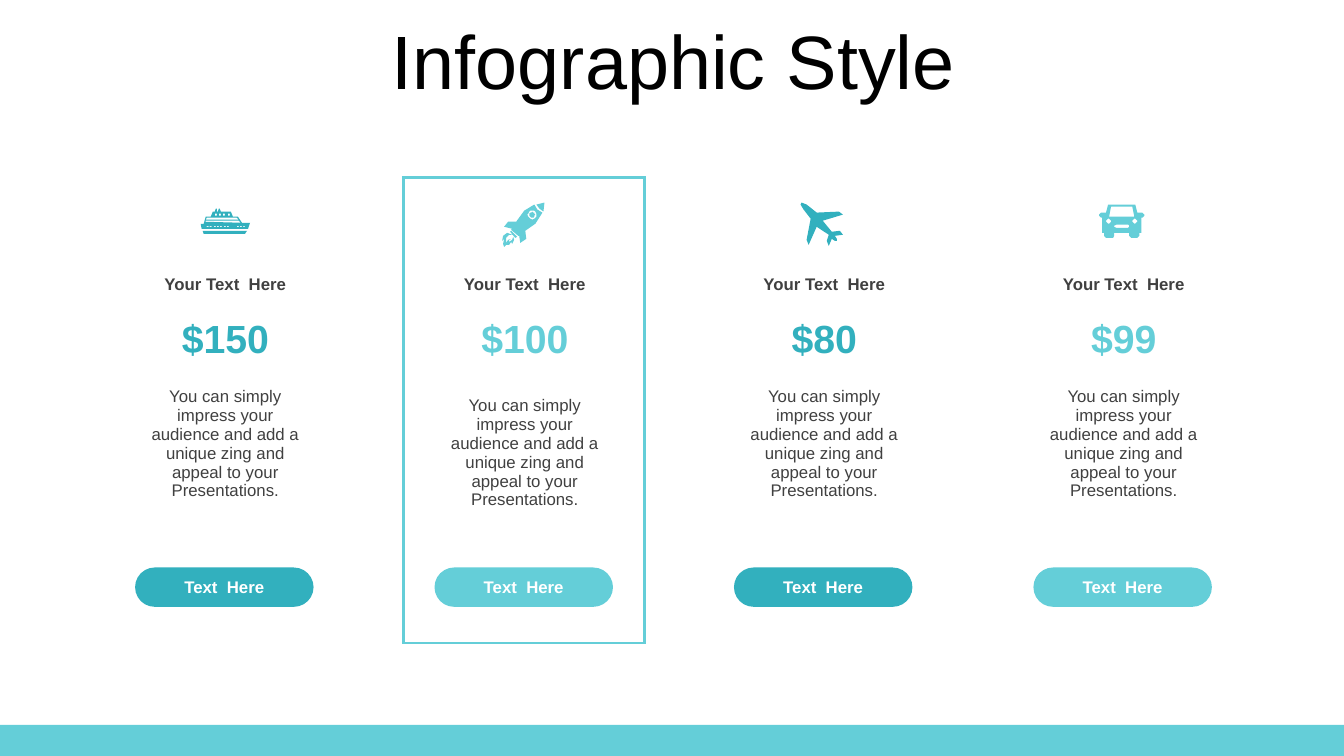
from math import cos, pi, sin

from lxml import etree
from pptx import Presentation
from pptx.dml.color import RGBColor
from pptx.enum.shapes import MSO_SHAPE
from pptx.enum.text import MSO_ANCHOR, PP_ALIGN
from pptx.oxml.ns import qn
from pptx.util import Inches, Pt

CENTER = PP_ALIGN.CENTER
MIDDLE = MSO_ANCHOR.MIDDLE
RECTANGLE = MSO_SHAPE.RECTANGLE
PILL = MSO_SHAPE.ROUNDED_RECTANGLE
NO_GRID_STYLE = "{2D5ABB26-0587-4C30-8999-92F81FD0307C}"

THEME = {
    "font": "Arial",
    "teal": "32B0BE", "aqua": "64CED8", "ink": "404040",
    "black": "000000", "white": "FFFFFF",
    "title_size": 54, "price_size": 28, "body_size": 12, "spacer_size": 10,
    "frame_width": 2.25,
}


def write(frame, text, size, color, bold=False):
    """Put one centred run of text in a text frame and return its paragraph."""
    paragraph = frame.paragraphs[0]
    paragraph.alignment = CENTER
    run = paragraph.add_run()
    run.text = text
    run.font.name = THEME["font"]
    run.font.size = Pt(THEME[size])
    run.font.bold = bold
    run.font.color.rgb = RGBColor.from_string(THEME[color])
    return paragraph


def paint(shape, color):
    """Give a shape a plain fill without line or shadow."""
    shape.shadow.inherit = False
    shape.fill.solid()
    shape.fill.fore_color.rgb = RGBColor.from_string(THEME[color])
    shape.line.fill.background()


# Icon outlines, in hundredths of an inch on the slide
ship = [
    [(201, 229), (245, 229), (243, 232), (202, 232)],
    [(204, 219), (204, 220), (239, 221), (237, 219)],
    [(205, 216), (204, 218), (237, 218), (235, 216)],
    [(217, 207), (218, 207), (219, 210), (229, 210), (231, 215), (236, 215),
     (240, 221), (248, 221), (246, 227), (200, 227), (199, 222), (202, 222),
     (204, 215), (209, 215), (211, 210), (213, 210), (214, 207), (215, 207),
     (215, 210), (216, 210)],
]
portholes = [(x, 224, 1.6, 1.2)
             for x in (205, 208.5, 212, 215, 218, 222, 225, 235, 238, 241)]
cabin_windows = [(x, 212, 2, 2.4) for x in (213, 217, 221, 226)]
ship += [[(x, y), (x + w, y), (x + w, y + h), (x, y + h)]
         for x, y, w, h in portholes + cabin_windows]

rocket = [
    [(508, 233), (505, 233), (502, 236), (502, 241), (504, 238), (507, 237),
     (505, 238), (505, 240), (508, 238), (509, 235), (510, 238), (508, 242),
     (507, 240), (505, 243), (502, 243), (500, 245), (499, 242), (500, 237),
     (498, 239), (499, 234), (503, 231)],
    [(507, 229), (513, 235), (511, 236), (506, 230)],
    [(530, 203), (533, 208), (538, 211), (531, 222), (521, 229), (522, 237),
     (516, 241), (515, 234), (514, 234), (507, 228), (508, 227), (500, 225),
     (504, 220), (512, 220), (520, 209)],
    [(540, 201), (539, 210), (535, 207), (532, 203), (536, 201.5)],
]

plane = [
    [(836, 233), (828, 234), (830, 237), (830, 239), (828, 239), (825, 237),
     (822, 244), (820, 239), (822, 233), (810, 225), (802, 243), (800, 238),
     (804, 217), (797, 208), (794, 203), (795, 201), (800, 203), (810, 211),
     (832, 210), (836, 213), (816, 219), (825, 230), (833, 229)],
]

car = [
    [(1107, 223), (1105, 224), (1105, 225), (1107, 226), (1119, 226),
     (1120, 225), (1120, 224), (1119, 223)],
    [(1102, 205), (1100, 215), (1125, 215), (1123, 205)],
    [(1099, 203), (1126, 203), (1128, 211), (1133, 211), (1135, 213),
     (1135, 214), (1133, 216), (1132, 216), (1132, 231), (1130, 231),
     (1130, 234), (1128, 236), (1122, 236), (1120, 234), (1120, 231),
     (1105, 231), (1105, 234), (1104, 236), (1097, 236), (1095, 234),
     (1095, 231), (1093, 231), (1093, 216), (1092, 216), (1090, 214),
     (1090, 213), (1092, 211), (1097, 211)],
]

for icon, x, y, radius in ((rocket, 527.8, 213.3, 4.5), (rocket, 527.8, 213.3, 2.8),
                           (car, 1099.5, 219.5, 2.5), (car, 1125.5, 219.5, 2.5)):
    icon.append([(x + radius * cos(k * pi / 8), y + radius * sin(k * pi / 8))
                 for k in range(16)])

plans = [("$150", "teal", ship), ("$100", "aqua", rocket),
         ("$80", "teal", plane), ("$99", "aqua", car)]
featured = 1
heading = "Your Text  Here"
description = ("You can simply impress your audience and add a unique zing "
               "and appeal to your Presentations.")

first_left, pitch, top = 1.03, 2.97, 1.76
column_widths = [0.3, 1.81, 0.28]
row_heights = [0.83, 0.47, 0.63, 1.61, 0.28, 0.47, 0.33]
last_row, last_column = len(row_heights) - 1, len(column_widths) - 1

prs = Presentation()
prs.slide_width, prs.slide_height = Inches(13.33), Inches(7.5)
slide = prs.slides.add_slide(prs.slide_layouts[6])
shapes = slide.shapes

footer = shapes.add_shape(RECTANGLE, 0, Inches(7.19), prs.slide_width, Inches(0.31))
paint(footer, "aqua")

title = shapes.add_textbox(Inches(0.35), Inches(0.25), Inches(12.66), Inches(0.79)).text_frame
title.word_wrap = True
title.vertical_anchor = MIDDLE
title_line = write(title, "Infographic Style", "title_size", "black")
title_line.line_spacing = 0.9
title_line.space_before = Pt(10)

for index, (price, accent, icon) in enumerate(plans):
    left = first_left + index * pitch
    plan = shapes.add_table(len(row_heights), len(column_widths), Inches(left), Inches(top),
                            Inches(sum(column_widths)), Inches(sum(row_heights))).table
    plan.first_row = plan.horz_banding = False
    plan._tbl.tblPr.find(qn("a:tableStyleId")).text = NO_GRID_STYLE
    for column, width in zip(plan.columns, column_widths):
        column.width = Inches(width)
    for row, height in zip(plan.rows, row_heights):
        row.height = Inches(height)

    contents = {1: (heading, "body_size", "ink", True),
                2: (price, "price_size", accent, True),
                3: (description, "body_size", "ink", False)}
    for r in range(len(row_heights)):
        for c in range(len(column_widths)):
            cell = plan.cell(r, c)
            cell.vertical_anchor = MIDDLE
            if c == 1 and r in contents:
                write(cell.text_frame, *contents[r])
            else:
                etree.SubElement(cell.text_frame.paragraphs[0]._p, qn("a:endParaRPr"),
                                 sz=str(THEME["spacer_size"] * 100))
            edges = {"L": c == 0, "R": c == last_column, "T": r == 0, "B": r == last_row}
            for side, outer in edges.items():
                if index == featured and outer:
                    edge = etree.SubElement(cell._tc.get_or_add_tcPr(), qn("a:ln" + side),
                                            w=str(Pt(THEME["frame_width"])))
                    edge_fill = etree.SubElement(edge, qn("a:solidFill"))
                    etree.SubElement(edge_fill, qn("a:srgbClr"), val=THEME["aqua"])
            cell.fill.background()
    if index != featured:
        plan.cell(3, 1).margin_bottom = Inches(0.23)

    button = shapes.add_shape(PILL, Inches(left + 0.31), Inches(5.63),
                              Inches(1.77), Inches(0.39))
    button.adjustments[0] = 0.5
    paint(button, accent)
    button.text_frame.vertical_anchor = MIDDLE
    write(button.text_frame, "Text  Here", "body_size", "white", True)

    outline = shapes.build_freeform(*icon[0][0], scale=Inches(0.01))
    for contour in icon:
        outline.move_to(*contour[0])
        outline.add_line_segments(contour[1:], close=True)
    paint(outline.convert_to_shape(), accent)

prs.save("out.pptx")
